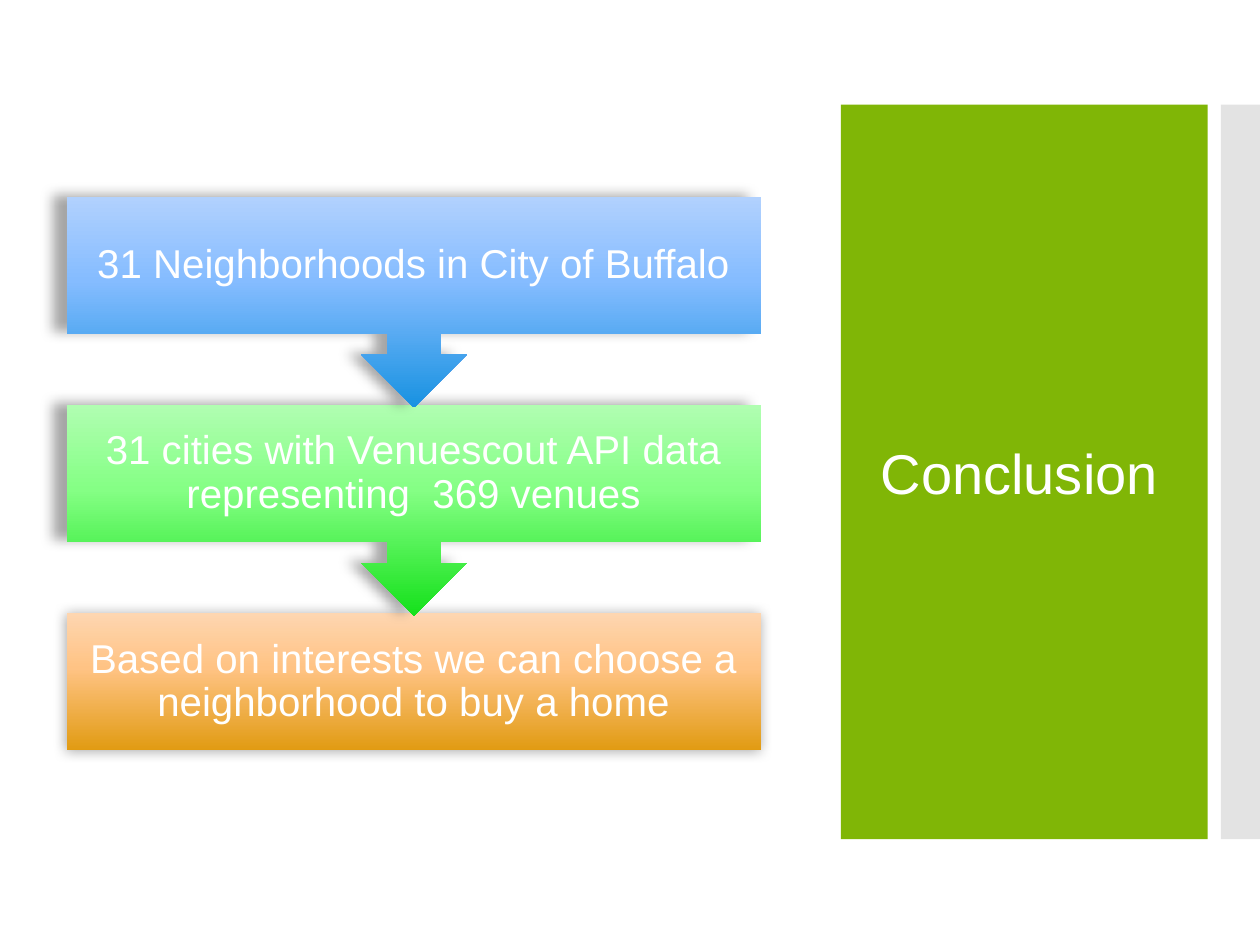
import copy
from dataclasses import dataclass

import pptx
import pptx.dml.color
import pptx.enum.shapes
import pptx.enum.text
import pptx.oxml
import pptx.oxml.ns
import pptx.util

Pt = pptx.util.Pt
MSO_SHAPE = pptx.enum.shapes.MSO_SHAPE

COLORS = {
    "white": "FFFFFF",
    "panel": "80B606",
    "edge": "E3E3E3",
    "shadow": "000000",
}
GRADIENTS = {
    "blue": ("B1D1FE", "85BCFF", "1892E1"),
    "green": ("B0FEB1", "85FF85", "15E11B"),
    "orange": ("FED6B0", "FFC384", "E19B12"),
}
GRADIENT_POSITIONS = (0, 0.4, 1)
FONT = "Arial"
BAND_TOP, BAND_HEIGHT = 59.8, 419.8
STEP_LEFT, STEP_TOP, STEP_WIDTH, STEP_PITCH = 38.2, 112.4, 396.7, 119.1
INSET = 12.9


@dataclass(frozen=True)
class Step:
    text: str
    gradient: str
    geometry: MSO_SHAPE
    height: float
    shadow_distance: float


STEPS = (
    Step("31 Neighborhoods in City of Buffalo", "blue",
         MSO_SHAPE.DOWN_ARROW_CALLOUT, 120.4, 8),
    Step("31 cities with Venuescout API data representing  369 venues", "green",
         MSO_SHAPE.DOWN_ARROW_CALLOUT, 120.4, 8),
    Step("Based on interests we can choose a neighborhood to buy a home", "orange",
         MSO_SHAPE.RECTANGLE, 78.3, 1),
)


def rgb(hex_color: str) -> pptx.dml.color.RGBColor:
    return pptx.dml.color.RGBColor.from_string(hex_color)


def write_text(shape, text: str, size: float, inset: float, spacing: float) -> None:
    frame = shape.text_frame
    frame.word_wrap = True
    frame.vertical_anchor = pptx.enum.text.MSO_ANCHOR.MIDDLE
    frame.margin_left = frame.margin_right = Pt(inset)
    frame.margin_top = frame.margin_bottom = Pt(inset)
    paragraph = frame.paragraphs[0]
    paragraph.text = text
    paragraph.alignment = pptx.enum.text.PP_ALIGN.CENTER
    paragraph.line_spacing = spacing
    paragraph.font.name = FONT
    paragraph.font.size = Pt(size)
    paragraph.font.color.rgb = rgb(COLORS["white"])


def draw_band(slide, left: float, width: float, color: str) -> None:
    band = slide.shapes.add_shape(
        MSO_SHAPE.RECTANGLE, Pt(left), Pt(BAND_TOP), Pt(width), Pt(BAND_HEIGHT))
    band.shadow.inherit = False
    band.fill.solid()
    band.fill.fore_color.rgb = rgb(COLORS[color])
    band.line.fill.background()


def fill_gradient(shape, colors: tuple[str, ...]) -> None:
    shape.fill.gradient()
    shape.fill.gradient_angle = 270
    stop_list = shape._element.spPr.find(".//" + pptx.oxml.ns.qn("a:gsLst"))
    stop_list.append(copy.deepcopy(stop_list[0]))
    for stop, color, position in zip(
            shape.fill.gradient_stops, colors, GRADIENT_POSITIONS):
        stop.color.rgb = rgb(color)
        stop.position = position


def cast_shadow(shape, distance: float) -> None:
    shape.shadow.inherit = False
    effects = shape._element.spPr.find(pptx.oxml.ns.qn("a:effectLst"))
    effects.append(pptx.oxml.parse_xml(
        f'<a:outerShdw {pptx.oxml.ns.nsdecls("a")} blurRad="{Pt(7)}" '
        f'dist="{Pt(distance)}" dir="11400000" rotWithShape="0">'
        f'<a:srgbClr val="{COLORS["shadow"]}"><a:alpha val="35000"/></a:srgbClr>'
        '</a:outerShdw>'))


def draw_step(slide, step: Step, top: float) -> None:
    box = slide.shapes.add_shape(
        step.geometry, Pt(STEP_LEFT), Pt(top), Pt(STEP_WIDTH), Pt(step.height))
    fill_gradient(box, GRADIENTS[step.gradient])
    box.line.fill.background()
    cast_shadow(box, step.shadow_distance)
    write_text(box, step.text, 23, INSET, 0.9)


def main() -> None:
    presentation = pptx.Presentation()
    presentation.slide_width, presentation.slide_height = Pt(720), Pt(540)
    slide = presentation.slides.add_slide(presentation.slide_layouts[6])

    draw_band(slide, 480.5, 209.6, "panel")
    draw_band(slide, 697.6, 22.4, "edge")
    title = slide.shapes.add_textbox(Pt(495.4), Pt(88.6), Pt(174.2), Pt(362.2))
    write_text(title, "Conclusion", 32, 3.6, 1.0)

    for index, step in reversed(list(enumerate(STEPS))):
        draw_step(slide, step, STEP_TOP + index * STEP_PITCH)

    presentation.save("out.pptx")


if __name__ == "__main__":
    main()
